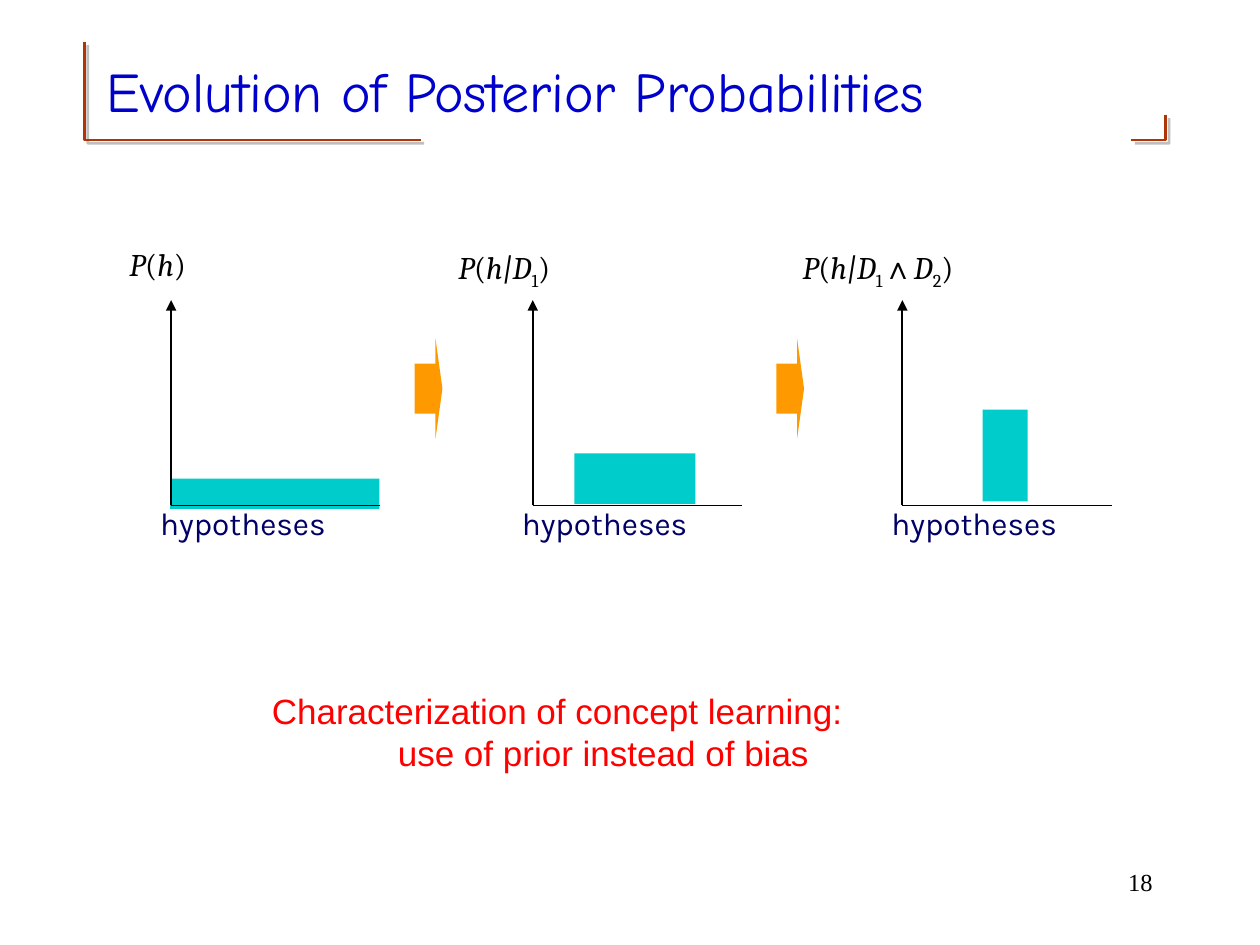
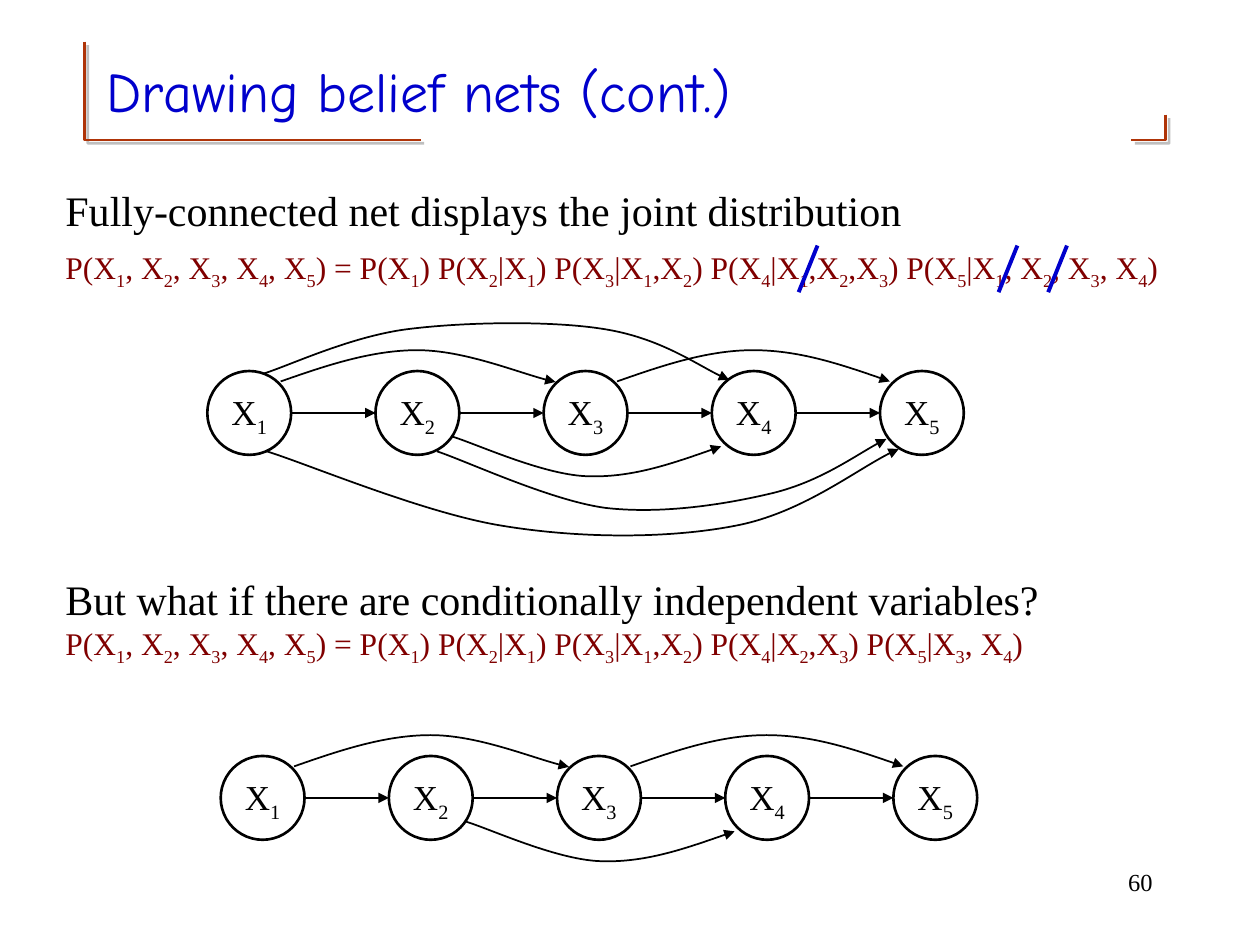
from dataclasses import dataclass
from itertools import groupby, pairwise

from lxml import etree
from pptx import Presentation
from pptx.dml.color import RGBColor
from pptx.enum.shapes import MSO_CONNECTOR, MSO_SHAPE
from pptx.enum.text import MSO_ANCHOR, MSO_AUTO_SIZE, PP_ALIGN
from pptx.oxml.ns import qn
from pptx.util import Cm, Pt

LEFT, CENTER, RIGHT = PP_ALIGN.LEFT, PP_ALIGN.CENTER, PP_ALIGN.RIGHT
TOP, MIDDLE = MSO_ANCHOR.TOP, MSO_ANCHOR.MIDDLE
NO_AUTOFIT = MSO_AUTO_SIZE.NONE
STRAIGHT = MSO_CONNECTOR.STRAIGHT
RECTANGLE, OVAL, RIGHT_ARROW = MSO_SHAPE.RECTANGLE, MSO_SHAPE.OVAL, MSO_SHAPE.RIGHT_ARROW
TITLE_ONLY = 5

Point = tuple[float, float]
Frame = tuple[float, float, float, float]


@dataclass(frozen=True)
class TextStyle:
    font: str
    size: float
    color: str
    subscripts: bool = False
    italics: bool = False


@dataclass(frozen=True)
class Theme:
    corner: str = "AF3408"
    shadow: str = "808080"
    ink: str = "000000"
    bar: str = "00CCCC"
    block_arrow: str = "FF9900"
    strike: str = "0000CC"
    symbol_font: str = "Arial"
    title: TextStyle = TextStyle("Comic Neue", 32, "0000CC")
    number: TextStyle = TextStyle("Times New Roman", 14, "000000")
    axis: TextStyle = TextStyle("Karla", 18, "000066")
    posterior: TextStyle = TextStyle("Cambria", 18, "000000", True, True)
    remark: TextStyle = TextStyle("Arial", 20, "FF0000")
    statement: TextStyle = TextStyle("Times New Roman", 24, "000000")
    factors: TextStyle = TextStyle("Times New Roman", 18, "800000", True)
    node: TextStyle = TextStyle("Times New Roman", 20, "000000", True)


@dataclass(frozen=True)
class Line:
    text: str
    style: TextStyle
    space_before: float = 0
    indent: float = 0


@dataclass(frozen=True)
class Plot:
    left: float
    formula: str
    formula_at: Point
    bar: Frame


@dataclass(frozen=True)
class Net:
    left: float
    top: float
    arcs: tuple[tuple[Point, ...], ...]


THEME = Theme()

TITLE_FRAME: Frame = (1.9, 0.64, 21.59, 2.34)
NUMBER_FRAME: Frame = (18.21, 17.35, 5.28, 1.27)
CORNERS = (
    ((1.7, 0.84), (1.7, 2.82), (8.48, 2.82)),
    ((23.5, 2.31), (23.5, 2.82), (22.81, 2.82)),
)

AXIS_TOP, AXIS_BASE, AXIS_LENGTH = 6.05, 10.19, 4.22
PLOTS = (
    Plot(3.45, "P(h)", (2.36, 4.8), (3.43, 9.65, 4.22, 0.61)),
    Plot(10.74, "P(h|D1)", (8.99, 4.88), (11.58, 9.14, 2.44, 1.02)),
    Plot(18.19, "P(h|D1∧D2)", (15.93, 4.88), (19.81, 8.26, 0.91, 1.85)),
)
BLOCK_ARROW_LEFTS = (8.36, 15.65)

NODE_SIZE, NODE_STEP, NODE_COUNT = 1.69, 3.39, 5
SPARSE_ARCS = (
    ((1.48, 0.21), (2.39, -0.11), (3.31, -0.42), (4.23, -0.42),
     (5.16, -0.42), (6.43, 0.1), (7.02, 0.22)),
    ((4.93, 1.32), (5.38, 1.45), (6.73, 2.08), (7.63, 2.12),
     (8.54, 2.16), (9.47, 1.83), (10.36, 1.52)),
    ((8.26, 0.21), (9.17, -0.11), (10.08, -0.42), (11, -0.42),
     (11.91, -0.42), (12.85, -0.11), (13.76, 0.21)),
)
EXTRA_ARCS = (
    ((1.2, 1.62), (2.01, 1.87), (4.38, 2.87), (5.95, 3.12), (7.52, 3.38),
     (9.3, 3.38), (10.64, 3.12), (11.97, 2.87), (13.23, 1.87), (13.94, 1.57)),
    ((4.63, 1.62), (5.19, 1.8), (6.91, 2.61), (8.03, 2.76), (9.17, 2.89),
     (10.44, 2.69), (11.4, 2.46), (12.34, 2.23), (13.21, 1.6), (13.69, 1.37)),
    ((1.14, 0.05), (1.63, -0.1), (2.87, -0.69), (4.01, -0.84), (5.16, -0.99),
     (6.96, -1.02), (8.03, -0.84), (9.12, -0.66), (10.01, -0.03), (10.52, 0.18)),
)
NETS = (
    Net(4.18, 7.48, SPARSE_ARCS + EXTRA_ARCS),
    Net(4.45, 15.24, SPARSE_ARCS),
)
STRIKE_LEFTS = (16.1, 20.13, 21.13)


def set_all(target, values: dict) -> None:
    for name, value in values.items():
        setattr(target, name, value)


def lengths(values) -> list:
    return [Cm(value) for value in values]


def add_spans(para, text: str, style: TextStyle) -> None:
    def role(char: str) -> tuple[bool, bool, bool]:
        lowered = style.subscripts and char.isdigit()
        slanted = style.italics and (char.isalpha() or char == "|")
        return lowered, slanted, char == "∧"

    for (lowered, slanted, symbol), chars in groupby(text, role):
        span = para.add_run()
        span.text = "".join(chars)
        set_all(span.font, {
            "name": THEME.symbol_font if symbol else style.font,
            "size": Pt(style.size),
            "italic": slanted,
        })
        span.font.color.rgb = RGBColor.from_string(style.color)
        if lowered:
            span._r.get_or_add_rPr().set("baseline", "-25000")


def write(shape, lines: list[Line], align=LEFT, anchor=TOP, wrap=True, spacing=1.0) -> None:
    frame = shape.text_frame
    set_all(frame, {
        "word_wrap": wrap, "auto_size": NO_AUTOFIT, "vertical_anchor": anchor,
        "margin_left": Cm(0.25), "margin_right": Cm(0.25),
        "margin_top": Cm(0.13), "margin_bottom": Cm(0.13),
    })
    for index, line in enumerate(lines):
        para = frame.add_paragraph() if index else frame.paragraphs[0]
        set_all(para, {
            "alignment": align, "line_spacing": spacing, "space_before": Pt(line.space_before),
        })
        if line.indent:
            para._p.get_or_add_pPr().set("marL", str(Cm(line.indent)))
        add_spans(para, line.text, line.style)


def add_text(shapes, frame: Frame, lines: list[Line], align=LEFT) -> None:
    write(shapes.add_textbox(*lengths(frame)), lines, align)


def stroke(shape, color: str, width: float, arrow: bool = False) -> None:
    shape.line.color.rgb = RGBColor.from_string(color)
    shape.line.width = Pt(width)
    if arrow:
        outline = shape._element.spPr.find(qn("a:ln"))
        etree.SubElement(outline, qn("a:tailEnd"), type="triangle")


def add_line(shapes, start: Point, end: Point, color: str, width: float, arrow=False) -> None:
    line = shapes.add_connector(STRAIGHT, *lengths(start + end))
    stroke(line, color, width, arrow)
    etree.SubElement(line._element.spPr, qn("a:effectLst"))


def add_block(shapes, kind, frame: Frame, color: str):
    block = shapes.add_shape(kind, *lengths(frame))
    block.fill.solid()
    block.fill.fore_color.rgb = RGBColor.from_string(color)
    block.line.fill.background()
    block.shadow.inherit = False
    return block


def add_outline(shapes, points):
    start, *rest = [lengths(point) for point in points]
    builder = shapes.build_freeform(*start)
    builder.add_line_segments(rest, close=False)
    outline = builder.convert_to_shape()
    outline.fill.background()
    outline.shadow.inherit = False
    return outline


def add_arc(shapes, points) -> None:
    arc = add_outline(shapes, points)
    stroke(arc, THEME.ink, 1, arrow=True)
    segments = list(arc._element.iter(qn("a:lnTo")))
    for first in range(0, len(segments), 3):
        curve, *others = segments[first:first + 3]
        bezier = etree.Element(qn("a:cubicBezTo"))
        curve.addprevious(bezier)
        for segment in (curve, *others):
            bezier.append(segment[0])
            segment.getparent().remove(segment)


def add_corner(shapes, points) -> None:
    corner = add_outline(shapes, points)
    stroke(corner, THEME.corner, 1.5)
    effects = corner._element.spPr.find(qn("a:effectLst"))
    shadow = etree.SubElement(effects, qn("a:outerShdw"), dist=str(Pt(2.8)), dir="2700000",
                              algn="ctr", rotWithShape="0")
    color = etree.SubElement(shadow, qn("a:srgbClr"), val=THEME.shadow)
    etree.SubElement(color, qn("a:alpha"), val="50000")


def add_page(deck, title: str, number: str):
    page = deck.slides.add_slide(deck.slide_layouts[TITLE_ONLY])
    for points in CORNERS:
        add_corner(page.shapes, points)
    box = page.shapes.title
    set_all(box, dict(zip(("left", "top", "width", "height"), lengths(TITLE_FRAME))))
    write(box, [Line(title, THEME.title)], anchor=MIDDLE)
    add_text(page.shapes, NUMBER_FRAME, [Line(number, THEME.number)], RIGHT)
    return page


def add_plot(page, plot: Plot) -> None:
    shapes = page.shapes.add_group_shape().shapes
    origin = (plot.left, AXIS_BASE)
    add_block(shapes, RECTANGLE, plot.bar, THEME.bar)
    add_line(shapes, origin, (plot.left + AXIS_LENGTH, AXIS_BASE), THEME.ink, 1)
    add_line(shapes, origin, (plot.left, AXIS_TOP), THEME.ink, 1, arrow=True)
    add_text(shapes, (plot.left - 0.47, 10.03, 4.3, 1), [Line("hypotheses", THEME.axis)])
    add_text(shapes, (*plot.formula_at, 3.81, 1.1), [Line(plot.formula, THEME.posterior)])


def add_net(page, net: Net) -> None:
    shapes = page.shapes.add_group_shape().shapes
    lefts = [net.left + NODE_STEP * index for index in range(NODE_COUNT)]
    for index, left in enumerate(lefts, 1):
        node = shapes.add_shape(OVAL, *lengths((left, net.top, NODE_SIZE, NODE_SIZE)))
        node.fill.background()
        node.shadow.inherit = False
        stroke(node, THEME.ink, 1.5)
        write(node, [Line(f"X{index}", THEME.node)], CENTER, MIDDLE, wrap=False, spacing=0.9)
    middle = net.top + NODE_SIZE / 2
    for left, following in pairwise(lefts):
        add_line(shapes, (left + NODE_SIZE, middle), (following, middle), THEME.ink, 1, arrow=True)
    for arc in net.arcs:
        add_arc(shapes, [(net.left + x, net.top + y) for x, y in arc])


def build_posteriors(deck) -> None:
    page = add_page(deck, "Evolution of Posterior Probabilities", "18")
    for plot in PLOTS:
        add_plot(page, plot)
    for left in BLOCK_ARROW_LEFTS:
        arrow = add_block(page.shapes, RIGHT_ARROW, (left, 6.83, 0.56, 2.01), THEME.block_arrow)
        arrow.adjustments[0], arrow.adjustments[1] = 0.5, 0.25
    add_text(page.shapes, (5.23, 13.77, 12.3, 1.96), [
        Line("Characterization of concept learning:", THEME.remark),
        Line("use of prior instead of bias", THEME.remark, indent=2.54),
    ])


def build_belief_nets(deck) -> None:
    page = add_page(deck, "Drawing belief nets (cont.)", "60")
    joint = "P(X1, X2, X3, X4, X5) = P(X1) P(X2|X1) P(X3|X1,X2) "
    add_text(page.shapes, (1.07, 3.58, 23.29, 2.74), [
        Line("Fully-connected net displays the joint distribution", THEME.statement),
        Line(joint + "P(X4|X1,X2,X3) P(X5|X1, X2, X3, X4)", THEME.factors, space_before=7.9),
    ])
    add_text(page.shapes, (1.07, 11.43, 23.29, 2.97), [
        Line("But what if there are conditionally independent variables?", THEME.statement),
        Line(joint + "P(X4|X2,X3) P(X5|X3, X4)", THEME.factors),
    ])
    for left in STRIKE_LEFTS:
        add_line(page.shapes, (left + 0.38, 4.95), (left, 5.89), THEME.strike, 2.25)
    for net in NETS:
        add_net(page, net)


def main() -> None:
    deck = Presentation()
    deck.slide_width, deck.slide_height = Cm(25.4), Cm(19.05)
    build_posteriors(deck)
    build_belief_nets(deck)
    deck.save("out.pptx")


if __name__ == "__main__":
    main()
